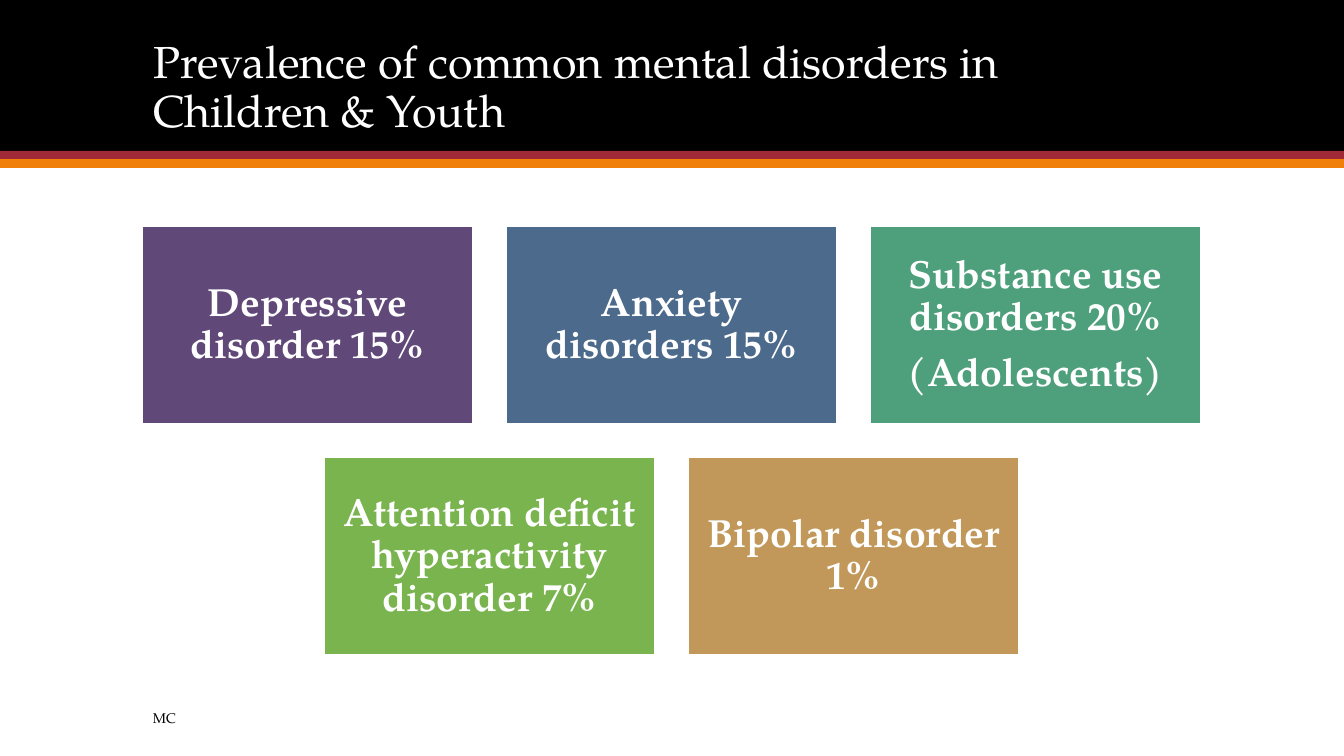
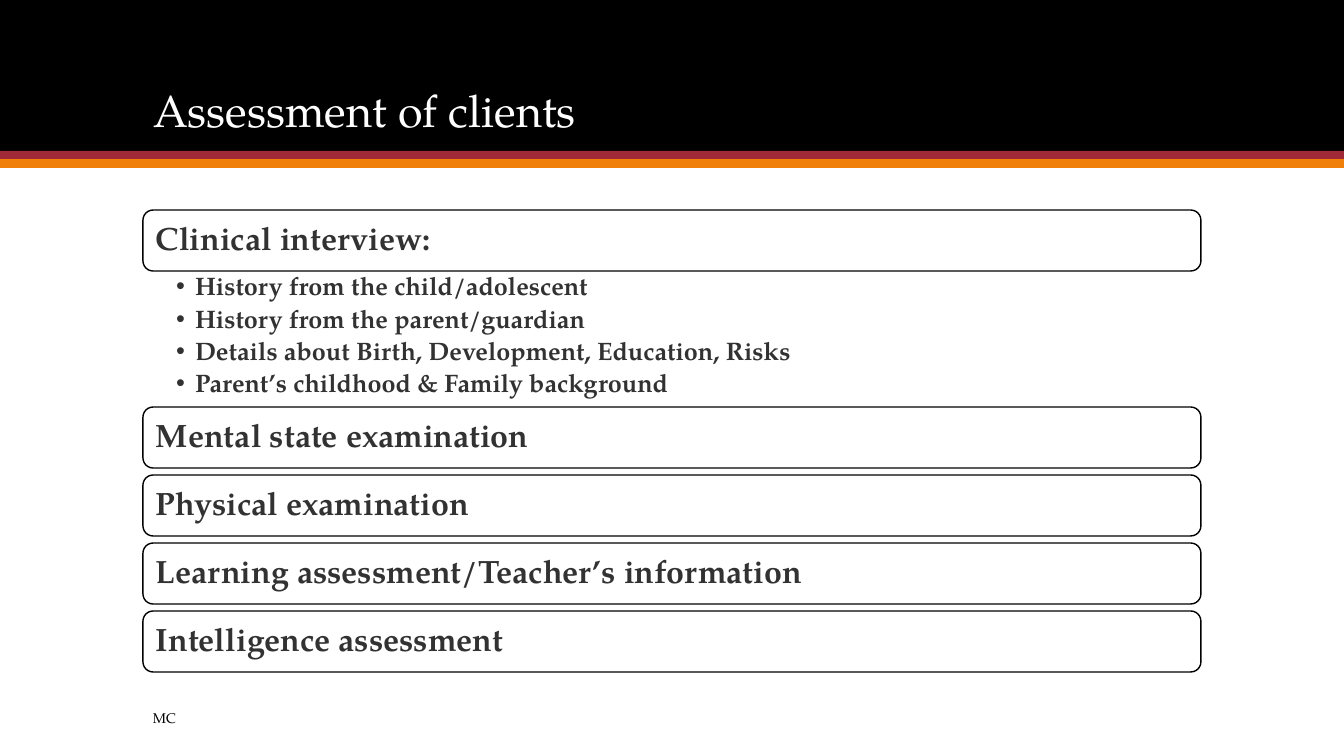
"""Build two slides on mental disorders in children and youth."""
from lxml.etree import SubElement
from pptx import Presentation
from pptx.dml.color import RGBColor
from pptx.enum.shapes import MSO_SHAPE
from pptx.enum.text import MSO_ANCHOR, MSO_AUTO_SIZE, PP_ALIGN
from pptx.oxml.ns import qn
from pptx.util import Pt

FONT = "TeX Gyre Pagella"
WHITE, BLACK, GREY = "FFFFFF", "000000", "323232"
BANDS = [("000000", 0, 151), ("9F2936", 151, 8), ("F07F09", 159, 9)]
SLIDE_WIDTH, SLIDE_HEIGHT = 1344, 756
LEFT, WIDTH = 143, 1058
TITLE_BOX = (LEFT, 28, WIDTH, 114)
FOOTER, FOOTER_BOX = "MC", (LEFT, 703, 688, 30)

PREVALENCE_TITLE = ["Prevalence of common mental disorders in", "Children & Youth"]
DISORDER_ROWS = [
    [
        ("604878", ["Depressive disorder 15%"]),
        ("4B6A8C", ["Anxiety disorders 15%"]),
        ("4DA07B", ["Substance use disorders 20%", "(Adolescents)"]),
    ],
    [
        ("7AB44F", ["Attention deficit hyperactivity disorder 7%"]),
        ("C19859", ["Bipolar disorder 1%"]),
    ],
]
TILE_WIDTH, TILE_HEIGHT, TILE_GAP, TILE_TOP = 331, 198, 33, 226

ASSESSMENT_TITLE = ["Assessment of clients"]
ASSESSMENTS = [
    ("Clinical interview:", [
        "History from the child/adolescent",
        "History from the parent/guardian",
        "Details about Birth, Development, Education, Risks",
        "Parent’s childhood & Family background",
    ]),
    ("Mental state examination", []),
    ("Physical examination", []),
    ("Learning assessment/Teacher’s information", []),
    ("Intelligence assessment", []),
]
BAR_TOP, BAR_HEIGHT, BAR_GAP, LIST_HEIGHT = 210, 61, 7, 136
BULLET_INDENT = 19


def px(length):
    return round(length * 914400 / 100.8)


def color(value):
    return RGBColor.from_string(value)


def place(shape, box):
    shape.left, shape.top, shape.width, shape.height = map(px, box)


def set_margins(frame, left, top, right, bottom):
    frame.margin_left, frame.margin_top = px(left), px(top)
    frame.margin_right, frame.margin_bottom = px(right), px(bottom)


def add_text(paragraph, text, size, text_color, bold=False):
    run = paragraph.add_run()
    run.text = text
    run.font.name = FONT
    run.font.size = Pt(size)
    run.font.bold = bold
    run.font.color.rgb = color(text_color)


def add_bullet(paragraph):
    properties = paragraph._p.get_or_add_pPr()
    properties.set("marL", str(px(BULLET_INDENT)))
    properties.set("indent", str(-px(BULLET_INDENT)))
    SubElement(properties, qn("a:buChar")).set("char", "•")


def write_paragraphs(frame, texts, size, text_color, align, gap=0, bullets=False):
    frame.word_wrap = True
    frame.auto_size = MSO_AUTO_SIZE.NONE
    for index, text in enumerate(texts):
        paragraph = frame.add_paragraph() if index else frame.paragraphs[0]
        if bullets:
            add_bullet(paragraph)
        paragraph.alignment = align
        paragraph.line_spacing = 0.9
        paragraph.space_before = Pt(0)
        paragraph.space_after = Pt(gap if index < len(texts) - 1 else 0)
        add_text(paragraph, text, size, text_color, bold=True)


def add_box(slide, kind, box, fill, line=None):
    shape = slide.shapes.add_shape(kind, *map(px, box))
    shape.shadow.inherit = False
    shape.fill.solid()
    shape.fill.fore_color.rgb = color(fill)
    if line:
        shape.line.color.rgb = color(line)
        shape.line.width = Pt(1)
    else:
        shape.line.fill.background()
    return shape


def style_master(master, slide):
    for position, (fill, top, height) in enumerate(BANDS, start=2):
        band = add_box(slide, MSO_SHAPE.RECTANGLE, (0, top, SLIDE_WIDTH, height), fill)
        master.shapes.element.insert(position, band.element)
    title = master.placeholders[0]
    place(title, TITLE_BOX)
    title.text_frame.vertical_anchor = MSO_ANCHOR.BOTTOM


def add_slide(presentation, layout_index, title_lines):
    slide = presentation.slides.add_slide(presentation.slide_layouts[layout_index])
    frame = slide.shapes.title.text_frame
    frame.auto_size = MSO_AUTO_SIZE.NONE
    paragraph = frame.paragraphs[0]
    paragraph.alignment = PP_ALIGN.LEFT
    paragraph.line_spacing = 0.9
    for index, line in enumerate(title_lines):
        if index:
            paragraph.add_line_break()
        add_text(paragraph, line, 32, WHITE)
    footer = slide.shapes.add_textbox(*map(px, FOOTER_BOX)).text_frame
    footer.word_wrap = True
    footer.vertical_anchor = MSO_ANCHOR.MIDDLE
    add_text(footer.paragraphs[0], FOOTER, 10, BLACK)
    return slide


def add_disorder_tiles(slide):
    for row_index, row in enumerate(DISORDER_ROWS):
        row_width = len(row) * (TILE_WIDTH + TILE_GAP) - TILE_GAP
        row_left = (SLIDE_WIDTH - row_width) // 2
        top = TILE_TOP + row_index * (TILE_HEIGHT + TILE_GAP)
        for column, (fill, texts) in enumerate(row):
            left = row_left + column * (TILE_WIDTH + TILE_GAP)
            box = (left, top, TILE_WIDTH, TILE_HEIGHT)
            tile = add_box(slide, MSO_SHAPE.RECTANGLE, box, fill, WHITE)
            frame = tile.text_frame
            frame.vertical_anchor = MSO_ANCHOR.MIDDLE
            set_margins(frame, 12, 12, 12, 12)
            write_paragraphs(frame, texts, 28, WHITE, PP_ALIGN.CENTER, gap=9.8)


def add_assessment_bars(slide):
    top = BAR_TOP
    for heading, details in ASSESSMENTS:
        box = (LEFT, top, WIDTH, BAR_HEIGHT)
        bar = add_box(slide, MSO_SHAPE.ROUNDED_RECTANGLE, box, WHITE, BLACK)
        frame = bar.text_frame
        frame.vertical_anchor = MSO_ANCHOR.MIDDLE
        set_margins(frame, 10, 10, 10, 10)
        write_paragraphs(frame, [heading], 23, GREY, PP_ALIGN.LEFT)
        top += BAR_HEIGHT
        if details:
            body = slide.placeholders[1]
            place(body, (LEFT, top, WIDTH, LIST_HEIGHT))
            set_margins(body.text_frame, 33, 3, 18, 3)
            write_paragraphs(body.text_frame, details, 18, GREY, PP_ALIGN.LEFT,
                             gap=3.6, bullets=True)
        top += LIST_HEIGHT if details else BAR_GAP


def main():
    presentation = Presentation()
    presentation.slide_width, presentation.slide_height = px(SLIDE_WIDTH), px(SLIDE_HEIGHT)
    prevalence = add_slide(presentation, 5, PREVALENCE_TITLE)
    style_master(presentation.slide_master, prevalence)
    add_disorder_tiles(prevalence)
    add_assessment_bars(add_slide(presentation, 1, ASSESSMENT_TITLE))
    presentation.save("out.pptx")


if __name__ == "__main__":
    main()
